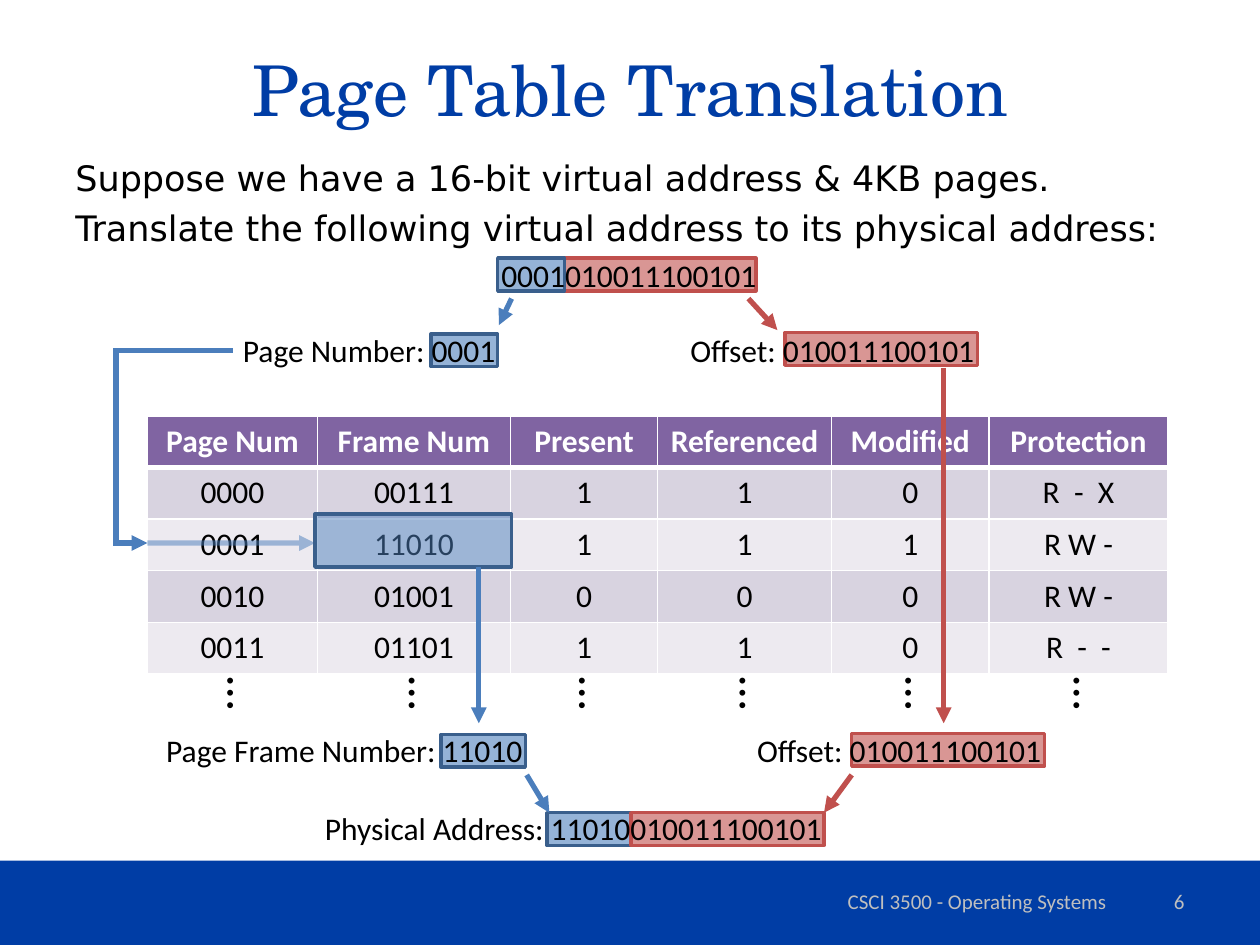
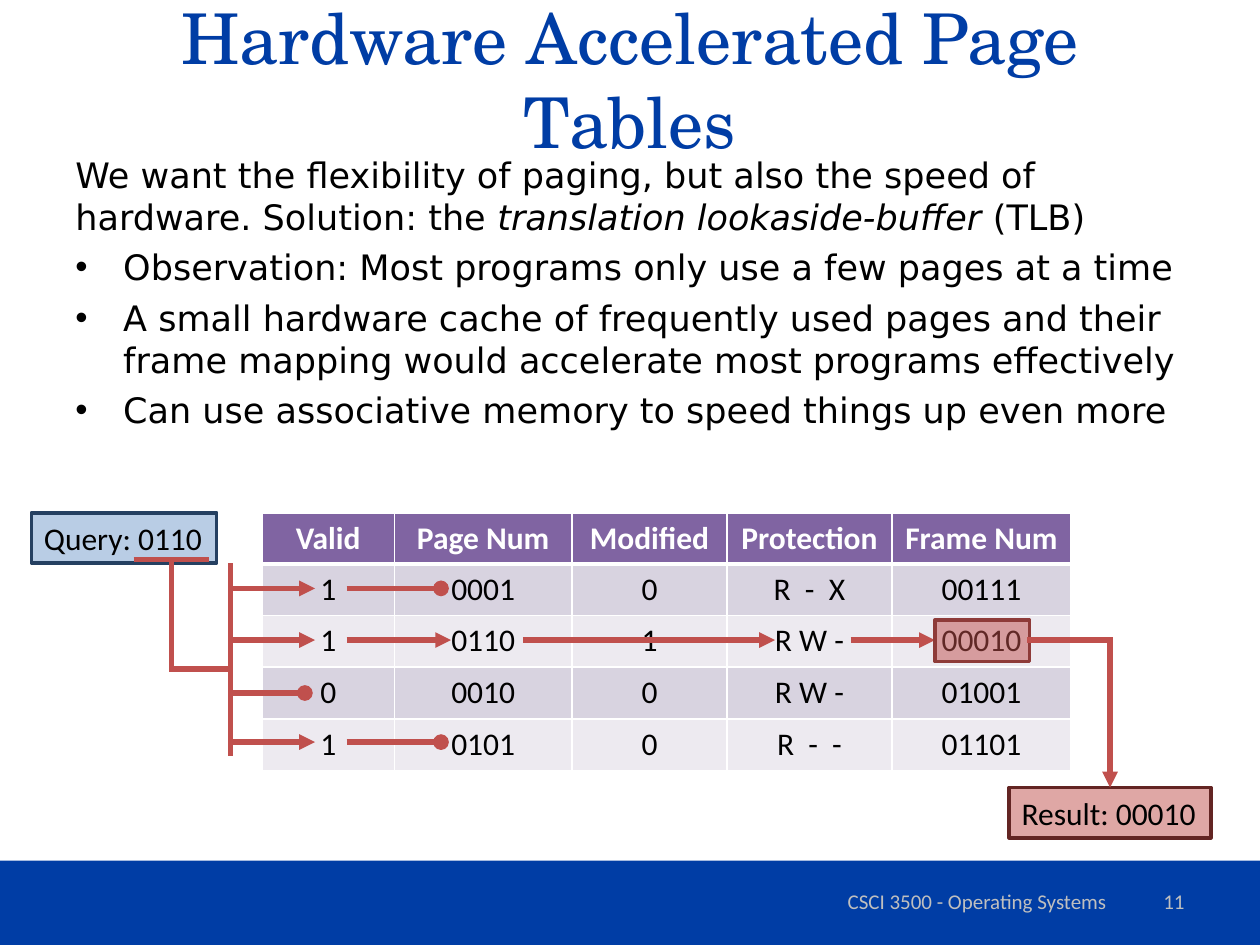
from itertools import pairwise

from lxml import etree
from pptx import Presentation
from pptx.dml.color import RGBColor
from pptx.enum.shapes import MSO_CONNECTOR, MSO_SHAPE
from pptx.enum.text import MSO_ANCHOR, MSO_AUTO_SIZE, PP_ALIGN
from pptx.oxml.ns import qn
from pptx.util import Inches, Pt

RECT, STRAIGHT = MSO_SHAPE.RECTANGLE, MSO_CONNECTOR.STRAIGHT
LEFT, CENTER, RIGHT = PP_ALIGN.LEFT, PP_ALIGN.CENTER, PP_ALIGN.RIGHT
TOP, MIDDLE = MSO_ANCHOR.TOP, MSO_ANCHOR.MIDDLE
FIT, FIXED = MSO_AUTO_SIZE.SHAPE_TO_FIT_TEXT, MSO_AUTO_SIZE.NONE

# The slide is a grid of 10 columns by 7.5 rows
SLIDE_W, SLIDE_H = Inches(10), Inches(7.5)
COL, ROW = SLIDE_W / 10, SLIDE_H / 7.5

BLACK = RGBColor(0x00, 0x00, 0x00)
WHITE = RGBColor(0xFF, 0xFF, 0xFF)
ROYAL = RGBColor(0x00, 0x3D, 0xA5)
FOOTER_GREY = RGBColor(0xBF, 0xBF, 0xBF)
BLUE = RGBColor(0x4F, 0x81, 0xBD)
BLUE_ARROW = RGBColor(0x4B, 0x7E, 0xBC)
BLUE_EDGE = RGBColor(0x3A, 0x5F, 0x8C)
BLUE_FILL = RGBColor(0x95, 0xB3, 0xD7)
QUERY_FILL = RGBColor(0xB9, 0xCD, 0xE5)
QUERY_EDGE = RGBColor(0x25, 0x40, 0x61)
RED = RGBColor(0xC0, 0x50, 0x4D)
RED_FILL = RGBColor(0xD9, 0x96, 0x94)
MATCH_EDGE = RGBColor(0x8E, 0x3B, 0x39)
RESULT_EDGE = RGBColor(0x63, 0x25, 0x23)
HEADER_FILL = RGBColor(0x80, 0x64, 0xA2)
BAND_FILLS = (RGBColor(0xD8, 0xD3, 0xE0), RGBColor(0xED, 0xEA, 0xF0))

BODY_FONT, LABEL_FONT, TITLE_FONT = "DejaVu Sans", "Calibri", "TeX Gyre Schola"
BIT_H = 0.26
OFFSET_W = 1.53
LABEL_H = 0.4


def place(left, top, width, height):
    return int(left * COL), int(top * ROW), int(width * COL), int(height * ROW)


def write(frame, paragraphs, size=18, font=LABEL_FONT, color=BLACK, bold=False,
          align=LEFT, before=0, bullets_from=None):
    """Fill a frame; a paragraph is a string or a list of (text, italic) runs."""
    if isinstance(paragraphs, str):
        paragraphs = [paragraphs]
    for i, runs in enumerate(paragraphs):
        paragraph = frame.paragraphs[0] if i == 0 else frame.add_paragraph()
        if bullets_from is not None and i >= bullets_from:
            add_bullet(paragraph)
        paragraph.alignment = align
        paragraph.space_before = Pt(before if i else 0)
        for text, italic in [(runs, False)] if isinstance(runs, str) else runs:
            run = paragraph.add_run()
            run.text = text
            run.font.size, run.font.name = Pt(size), font
            run.font.bold, run.font.italic = bold, italic
            run.font.color.rgb = color


def add_bullet(paragraph):
    props = paragraph._p.get_or_add_pPr()
    props.set("marL", str(Inches(0.38)))
    props.set("indent", str(-Inches(0.38)))
    etree.SubElement(props, qn("a:buFont")).set("typeface", "Arial")
    etree.SubElement(props, qn("a:buChar")).set("char", "•")


def add_text(slide, box, text, wrap=True, fit=FIXED, anchor=TOP, rotation=0, **style):
    text_box = slide.shapes.add_textbox(*place(*box))
    text_box.rotation = rotation
    frame = text_box.text_frame
    frame.word_wrap, frame.auto_size, frame.vertical_anchor = wrap, fit, anchor
    write(frame, text, **style)


def add_label(slide, left, top, width, text, **options):
    add_text(slide, (left, top, width, LABEL_H), text, wrap=False, fit=FIT, **options)


def set_alpha(element, percent):
    color = next(element.iter(qn("a:srgbClr")))
    etree.SubElement(color, qn("a:alpha")).set("val", str(percent * 1000))


def add_box(slide, box, fill, edge=None, alpha=None, text=None):
    shape = slide.shapes.add_shape(RECT, *place(*box))
    shape.shadow.inherit = False
    shape.fill.solid()
    shape.fill.fore_color.rgb = fill
    if alpha:
        set_alpha(shape.element.spPr, alpha)
    if edge is None:
        shape.line.fill.background()
    else:
        shape.line.color.rgb, shape.line.width = edge, Pt(2)
    if text:
        frame = shape.text_frame
        frame.word_wrap, frame.auto_size, frame.vertical_anchor = False, FIT, TOP
        write(frame, text)


def add_page_bits(slide, left, top, width):
    add_box(slide, (left, top, width, BIT_H), BLUE_FILL, BLUE_EDGE)


def add_offset_bits(slide, left, top):
    add_box(slide, (left, top, OFFSET_W, BIT_H), RED_FILL, RED)


def add_line(slide, start, end, color=RED, head=None, alpha=None):
    ends = [int(v) for x, y in (start, end) for v in (x * COL, y * ROW)]
    line = slide.shapes.add_connector(STRAIGHT, *ends)
    line.line.color.rgb, line.line.width = color, Pt(3)
    props = line.element.spPr
    if alpha:
        set_alpha(props, alpha)
    if head:
        etree.SubElement(props.find(qn("a:ln")), qn("a:tailEnd")).set("type", head)
    etree.SubElement(props, qn("a:effectLst"))
    return line


def add_route(slide, points, color=RED):
    """Right-angled path with an arrowhead on its last leg."""
    legs = list(pairwise(points))
    for i, (start, end) in enumerate(legs, 1):
        leg = add_line(slide, start, end, color, "triangle" if i == len(legs) else None)
        leg.element.spPr.find(qn("a:ln")).set("cap", "sq")


def set_borders(cell, top, bottom):
    props = cell._tc.get_or_add_tcPr()
    for side, width in (("L", 1), ("R", 1), ("T", top), ("B", bottom)):
        line = etree.SubElement(props, qn(f"a:ln{side}"), w=str(Pt(width)))
        fill = etree.SubElement(line, qn("a:solidFill"))
        etree.SubElement(fill, qn("a:srgbClr")).set("val", str(WHITE))


def add_page_table(slide, left, top, widths, header_h, rows):
    heights = [header_h] + [0.41] * (len(rows) - 1)
    box = place(left, top, sum(widths), sum(heights))
    table = slide.shapes.add_table(len(rows), len(widths), *box).table
    for column, width in zip(table.columns, widths):
        column.width = int(width * COL)
    for r, (values, height) in enumerate(zip(rows, heights)):
        table.rows[r].height = int(height * ROW)
        header = r == 0
        for c, value in enumerate(values):
            cell = table.cell(r, c)
            set_borders(cell, 3 if r == 1 else 1, 3 if header else 1)
            cell.fill.solid()
            cell.fill.fore_color.rgb = HEADER_FILL if header else BAND_FILLS[(r - 1) % 2]
            write(cell.text_frame, value, color=WHITE if header else BLACK,
                  bold=header, align=CENTER)


def add_slide(prs, title, title_top, number):
    """Blank slide with the shared band, title and footer."""
    slide = prs.slides.add_slide(prs.slide_layouts[6])
    add_box(slide, (0, 6.83, 10, 0.67), ROYAL)
    add_text(slide, (0.5, title_top, 9, 1.25), title, anchor=MIDDLE, size=40,
             font=TITLE_FONT, color=ROYAL, align=CENTER)
    footer = dict(anchor=MIDDLE, size=12, color=FOOTER_GREY)
    add_text(slide, (6.17, 6.95, 3.17, 0.4), "CSCI 3500 - Operating Systems",
             align=CENTER, **footer)
    add_text(slide, (7.17, 6.95, 2.33, 0.4), str(number), align=RIGHT, **footer)
    return slide


def add_body(slide, top, height, paragraphs, **style):
    add_text(slide, (0.5, top, 9, height), paragraphs, size=20, font=BODY_FONT,
             before=4.7, **style)


def build_translation(prs):
    slide = add_slide(prs, "Page Table Translation", 0.08, 6)
    add_body(slide, 1.19, 1.14, [
        "Suppose we have a 16-bit virtual address & 4KB pages.",
        "Translate the following virtual address to its physical address:"])

    # Virtual address and its two parts
    add_offset_bits(slide, 4.47, 2.05)
    add_page_bits(slide, 3.95, 2.05, 0.53)
    add_label(slide, 3.88, 1.98, 2.25, "0001010011100101")
    add_page_bits(slide, 3.42, 2.65, 0.53)
    add_label(slide, 1.83, 2.58, 2.23, "Page Number: 0001")
    add_offset_bits(slide, 6.23, 2.64)
    add_label(slide, 5.38, 2.58, 2.49, "Offset: 010011100101")

    # Page table, continued by dots under each column
    left, widths = 1.17, [1.35, 1.53, 1.17, 1.38, 1.25, 1.42]
    add_page_table(slide, left, 3.3, widths, 0.41, [
        ["Page Num", "Frame Num", "Present", "Referenced", "Modified", "Protection"],
        ["0000", "00111", "1", "1", "0", "R  -  X"],
        ["0001", "11010", "1", "1", "1", "R W -"],
        ["0010", "01001", "0", "0", "0", "R W -"],
        ["0011", "01101", "1", "1", "0", "R  -  -"]])
    for c, width in enumerate(widths):
        middle = left + sum(widths[:c]) + width / 2
        add_text(slide, (middle - 0.12, 5.22, 0.47, 0.57), "…", wrap=False, fit=FIT,
                 rotation=90, size=28)

    # Lookup of the frame number
    add_route(slide, [(1.83, 2.78), (0.92, 2.78), (0.92, 4.31), (1.17, 4.31)], BLUE_ARROW)
    add_line(slide, (1.17, 4.31), (2.5, 4.31), BLUE_ARROW, "triangle", alpha=50)
    add_box(slide, (2.5, 4.08, 1.56, 0.42), BLUE, BLUE_EDGE, alpha=50)

    # Physical address and its two parts
    add_page_bits(slide, 3.5, 5.83, 0.67)
    add_text(slide, (1.22, 5.75, 3.15, LABEL_H), "Page Frame Number: 11010", fit=FIT)
    add_offset_bits(slide, 6.76, 5.82)
    add_label(slide, 5.91, 5.75, 2.49, "Offset: 010011100101")
    add_page_bits(slide, 4.34, 6.45, 0.67)
    add_offset_bits(slide, 5.01, 6.45)
    add_label(slide, 2.48, 6.37, 4.19, "Physical Address: 11010010011100101")

    # Arrows: split, carry down, join
    for color, start, end in (
            (BLUE_ARROW, (4.06, 2.37), (3.96, 2.58)), (RED, (5.94, 2.37), (6.17, 2.62)),
            (BLUE_ARROW, (3.8, 4.5), (3.8, 5.74)), (RED, (7.49, 2.92), (7.49, 5.74)),
            (BLUE_ARROW, (4.18, 6.15), (4.36, 6.45)), (RED, (6.76, 6.15), (6.54, 6.45))):
        add_line(slide, start, end, color, "triangle")


def build_lookaside(prs):
    slide = add_slide(prs, "Hardware Accelerated Page Tables", 0, 11)
    add_body(slide, 1.17, 4.95, [
        [("We want the flexibility of paging, but also the speed of hardware. "
          "Solution: the ", False),
         ("translation lookaside-buffer", True), (" (TLB)", False)],
        "Observation: Most programs only use a few pages at a time",
        "A small hardware cache of frequently used pages and their frame mapping "
        "would accelerate most programs effectively",
        "Can use associative memory to speed things up even more"], bullets_from=1)

    # Buffer contents
    add_page_table(slide, 2.08, 4.07, [1.05, 1.41, 1.23, 1.31, 1.42], 0.38, [
        ["Valid", "Page Num", "Modified", "Protection", "Frame Num"],
        ["1", "0001", "0", "R  -  X", "00111"],
        ["1", "0110", "1", "R W -", "00010"],
        ["0", "0010", "0", "R W -", "01001"],
        ["1", "0101", "0", "R  -  -", "01101"]])

    # Query feeding every row at once
    bus, match = 1.83, 5.08
    add_box(slide, (0.25, 4.07, 1.47, LABEL_H), QUERY_FILL, QUERY_EDGE, text="Query: 0110")
    for start, end in (((1.06, 4.44), (1.66, 4.44)), ((1.36, 4.46), (1.36, 5.33)),
                       ((bus, 4.47), (bus, 6)), ((1.36, 5.31), (bus, 5.31))):
        add_line(slide, start, end)

    # Comparisons: a dot stops a row, an arrow passes it on
    for y, start, end, head in (
            (4.67, bus, 2.5, "triangle"), (4.67, 2.75, 3.5, "oval"),
            (match, bus, 2.5, "triangle"), (match, 2.75, 3.58, "triangle"),
            (match, 4.15, 6.15, "triangle"), (match, 6.75, 7.42, "triangle"),
            (5.5, bus, 2.42, "oval"),
            (5.89, bus, 2.5, "triangle"), (5.89, 2.75, 3.5, "oval")):
        add_line(slide, (start, y), (end, y), head=head)

    # Matching frame and result
    add_box(slide, (7.42, 4.92, 0.75, 0.33), RED, MATCH_EDGE, alpha=50)
    add_box(slide, (8.01, 6.25, 1.6, LABEL_H), RED, RESULT_EDGE, alpha=50,
            text="Result: 00010")
    add_route(slide, [(8.17, match), (8.81, match), (8.81, 6.25)])


def main():
    prs = Presentation()
    prs.slide_width, prs.slide_height = SLIDE_W, SLIDE_H
    build_translation(prs)
    build_lookaside(prs)
    prs.save("out.pptx")


if __name__ == "__main__":
    main()
